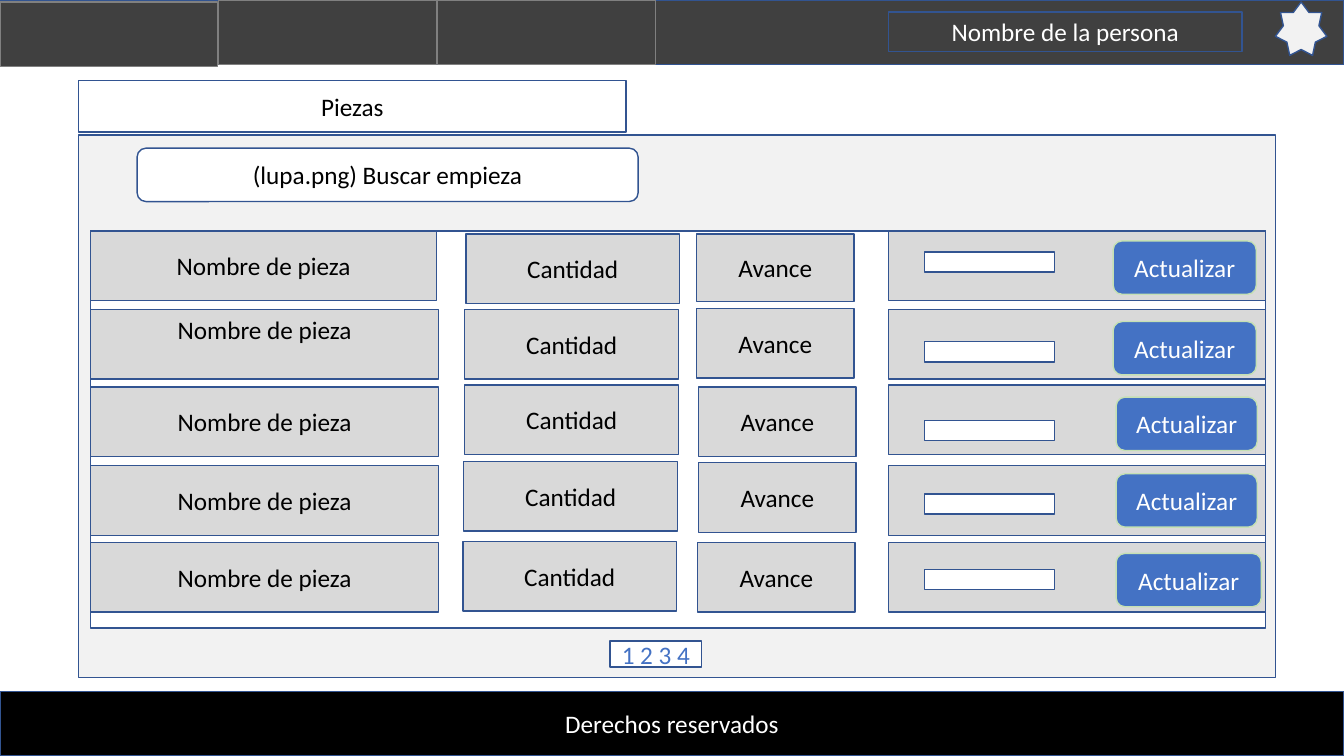
from dataclasses import dataclass
from typing import Optional

from pptx import Presentation
from pptx.dml.color import RGBColor as Rgb
from pptx.enum.shapes import MSO_SHAPE as Kind
from pptx.enum.text import MSO_ANCHOR as Anchor, PP_ALIGN as Align
from pptx.util import Inches, Pt

COLS, ROWS = 1333, 750  # fine grid over the whole slide

HEX = {
    "bar": "404040", "foot": "000000", "panel": "F2F2F2", "cell": "D9D9D9",
    "white": "FFFFFF", "black": "000000", "blue": "4472C4",
    "edge": "325491", "gray": "808080", "green": "C5E0B4",
}
FONT = {"name": "Calibri", "size": Pt(18)}
FRAME = {"word_wrap": True, "vertical_anchor": Anchor.MIDDLE}


@dataclass
class Box:
    """A shape placed by columns and rows of the grid."""
    x: int
    y: int
    w: int
    h: int
    fill: str
    text: str = ""
    ink: str = "black"
    edge: str = "edge"
    kind: Kind = Kind.RECTANGLE
    lift: int = 0  # rows kept free below the text


@dataclass
class Field:
    """A column of the list: left and top of each row, then a shared look."""
    xs: list[int]
    ys: list[int]
    w: int
    h: int
    fill: str = "cell"
    text: str = ""
    ink: str = "black"
    edge: str = "edge"
    kind: Kind = Kind.RECTANGLE
    ws: Optional[dict[int, int]] = None  # widths of rows that differ
    hs: Optional[dict[int, int]] = None  # heights of rows that differ
    lifts: Optional[dict[int, int]] = None

    def boxes(self) -> list[Box]:
        ws, hs, lifts = self.ws or {}, self.hs or {}, self.lifts or {}
        return [Box(x, y, ws.get(i, self.w), hs.get(i, self.h), self.fill,
                    self.text, self.ink, self.edge, self.kind, lifts.get(i, 0))
                for i, (x, y) in enumerate(zip(self.xs, self.ys))]


deck = Presentation()
deck.slide_width, deck.slide_height = Inches(13.33), Inches(7.5)
slide = deck.slides.add_slide(deck.slide_layouts[6])


def col(n: int) -> int:
    return round(deck.slide_width * n / COLS)


def row(n: int) -> int:
    return round(deck.slide_height * n / ROWS)


def color(name: str) -> Rgb:
    return Rgb.from_string(HEX[name])


def apply(item: object, values: dict) -> None:
    for key, value in values.items():
        setattr(item, key, value)


def draw(box: Box) -> None:
    shape = slide.shapes.add_shape(
        box.kind, col(box.x), row(box.y), col(box.w), row(box.h))
    shape.shadow.inherit = False
    shape.fill.solid()
    shape.fill.fore_color.rgb = color(box.fill)
    shape.line.color.rgb = color(box.edge)
    shape.line.width = Pt(1)
    if not box.text:
        return
    frame = shape.text_frame
    apply(frame, FRAME)
    if box.lift:
        apply(frame, {"margin_top": 0, "margin_bottom": row(box.lift)})
    para = frame.paragraphs[0]
    para.alignment = Align.CENTER
    run = para.add_run()
    run.text = box.text
    apply(run.font, FONT)
    run.font.color.rgb = color(box.ink)


ROUND = Kind.ROUNDED_RECTANGLE

# Header and footer
top = [
    Box(0, 0, COLS, 64, "bar"),
    Box(0, 686, COLS, 64, "foot", "Derechos reservados", "white"),
    *[Box(217 * i, 0 if i else 2, 216, 64, "bar", edge="gray")
      for i in range(3)],
    Box(1265, 2, 51, 53, "panel", kind=Kind.STAR_7_POINT),
    Box(881, 12, 351, 39, "bar", "Nombre de la persona", "white"),
]

# Panel with tab, search, list area and pager
panel = [
    Box(78, 134, 1187, 538, "panel"),
    Box(136, 147, 497, 53, "white", "(lupa.png) Buscar empieza", kind=ROUND),
    Box(90, 229, 1165, 394, "white"),
    Box(605, 636, 91, 26, "white", "1 2 3 4", "blue"),
    Box(78, 80, 543, 51, "white", "Piezas"),
]

# Columns of the list
fields = [
    Field([90] * 5, [229, 307, 384, 462, 538], 345, 69,
          text="Nombre de pieza", ws={0: 343}, lifts={1: 30}),
    Field([881] * 5, [229, 307, 382, 462, 538], 374, 69),
    Field([1104, 1104, 1107, 1107, 1107], [239, 319, 394, 470, 549], 140, 53,
          "blue", "Actualizar", "white", "green", ROUND,
          ws={0: 142, 1: 142, 4: 144}),
    Field([462, 461, 461, 460, 459], [232, 307, 382, 458, 537], 212, 69,
          text="Cantidad"),
    Field([691, 691, 693, 693, 692], [232, 306, 384, 459, 538], 156, 69,
          text="Avance", hs={0: 67}),
    Field([917] * 5, [250, 339, 417, 490, 565], 129, 20, "white"),
]

for box in top + panel:
    draw(box)
for field in fields:
    for box in field.boxes():
        draw(box)

deck.save("out.pptx")
